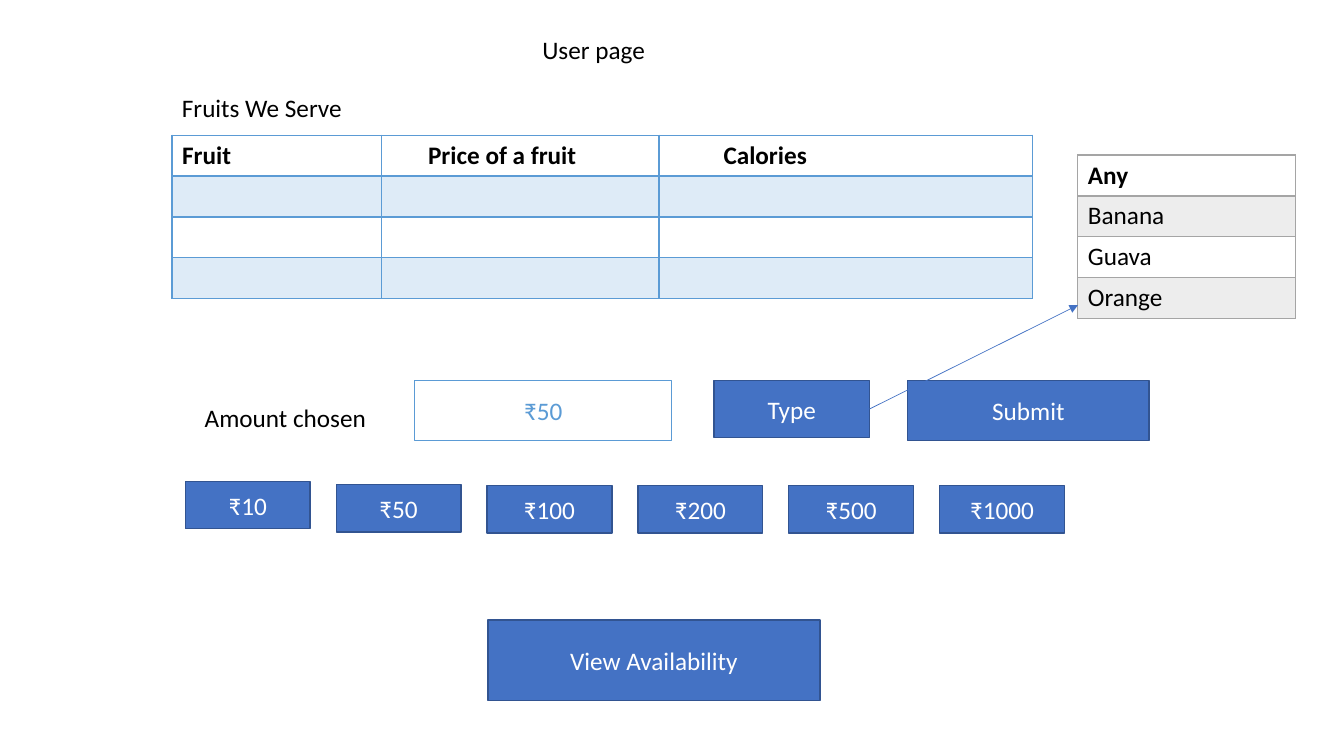
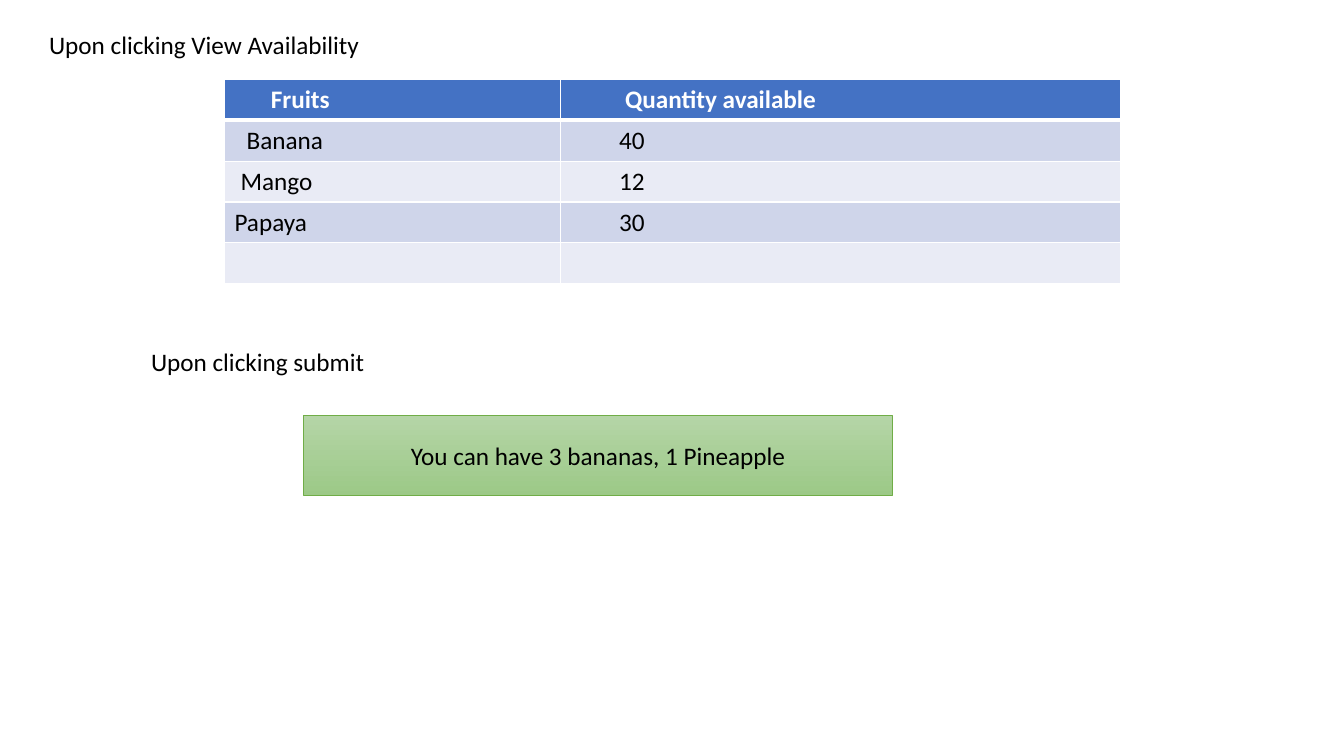
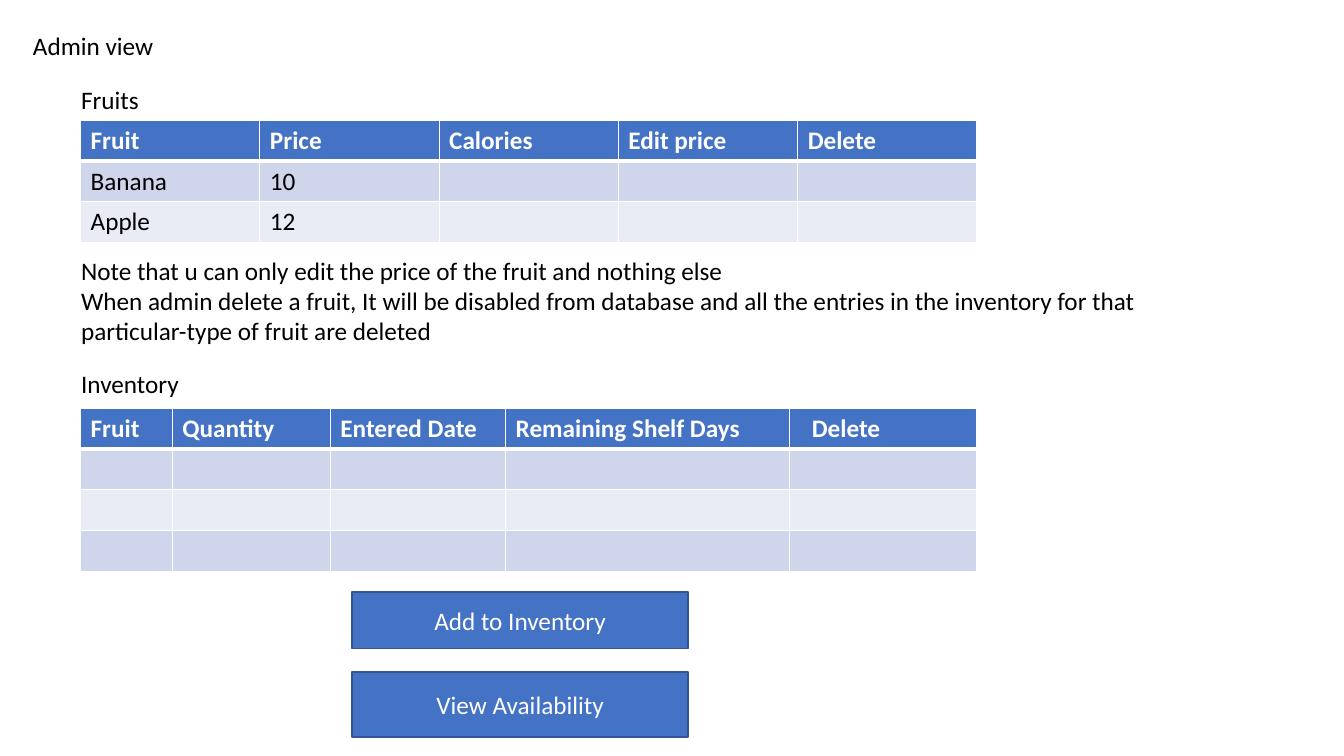
from lxml import etree
from pptx import Presentation
from pptx.dml.color import RGBColor
from pptx.enum.shapes import MSO_CONNECTOR, MSO_SHAPE
from pptx.enum.text import MSO_ANCHOR, MSO_AUTO_SIZE, PP_ALIGN
from pptx.oxml.ns import qn
from pptx.util import Inches, Pt

LEFT, CENTER = PP_ALIGN.LEFT, PP_ALIGN.CENTER
TOP, MIDDLE = MSO_ANCHOR.TOP, MSO_ANCHOR.MIDDLE
NO_FIT = MSO_AUTO_SIZE.NONE
RECT, STRAIGHT = MSO_SHAPE.RECTANGLE, MSO_CONNECTOR.STRAIGHT

FONT, SIZE = "Calibri", 18
BLACK, WHITE = "000000", "FFFFFF"
BLUE, NAVY, SKY = "4472C4", "325491", "5B9BD5"
GREEN = "70AD47"
GREEN_FADE = ("B5D5A7", "9CC987")
PAGE = (0, 0, 13.33, 7.5)
CELL_MARGIN, SPACE = 0.1, 0.06

FILLED = dict(head=BLUE, head_text=WHITE, bands=("CFD5EA", "E9EBF5"), border=WHITE, rule=3)
BLUE_GRID = dict(head=None, head_text=BLACK, bands=("DEEBF7", None), border=SKY, rule=2)
GRAY_GRID = dict(head=None, head_text=BLACK, bands=("EDEDED", None), border="A5A5A5", rule=2)


def color(value):
    return RGBColor.from_string(value)


def part(box, x, y, w, h):
    left, top, width, height = box
    return left + x * width, top + y * height, w * width, h * height


def emu(box):
    return [Inches(v) for v in box]


def paint(fill, value):
    if value is None:
        fill.background()
    else:
        fill.solid()
        fill.fore_color.rgb = color(value)


def write(tf, text, ink=BLACK, align=LEFT, bold=False):
    tf.text = text
    for p in tf.paragraphs:
        p.alignment = align
        for r in p.runs:
            r.font.name, r.font.size, r.font.bold = FONT, Pt(SIZE), bold
            r.font.color.rgb = color(ink)


def add_page(prs, title, box):
    s = prs.slides.add_slide(prs.slide_layouts[5])
    sp = s.shapes.title
    sp.left, sp.top, sp.width, sp.height = emu(box)
    tf = sp.text_frame
    write(tf, title)
    tf.auto_size, tf.vertical_anchor, tf.word_wrap = NO_FIT, TOP, True
    return s


def add_label(s, box, text):
    tf = s.shapes.add_textbox(*emu(box)).text_frame
    tf.word_wrap = True
    write(tf, text)


def add_button(s, box, text, fill=BLUE, line=NAVY, ink=WHITE, width=1):
    sp = s.shapes.add_shape(RECT, *emu(box))
    sp.shadow.inherit = False
    paint(sp.fill, fill)
    sp.line.color.rgb = color(line)
    sp.line.width = Pt(width)
    sp.text_frame.vertical_anchor = MIDDLE
    write(sp.text_frame, text, ink, CENTER)
    return sp


def add_border(cell, side, value, width):
    ln = etree.SubElement(cell._tc.get_or_add_tcPr(), qn("a:ln" + side), w=str(Pt(width)))
    fill = etree.SubElement(ln, qn("a:solidFill"))
    etree.SubElement(fill, qn("a:srgbClr"), val=value)


def add_grid(s, box, columns, rows, count, look, indents=None):
    indents = indents or {}
    table = s.shapes.add_table(count, len(columns), *emu(box)).table
    table.horz_banding = False
    for column, share in zip(table.columns, columns):
        column.width = Inches(box[2] * share / sum(columns))
    for i, row in enumerate(table.rows):
        row.height = Inches(box[3] / count)
        texts = rows[i] if i < len(rows) else ()
        for j, cell in enumerate(row.cells):
            widths = dict(L=1, R=1, T=look["rule"] if i == 1 else 1,
                          B=look["rule"] if i == 0 else 1)
            for side, width in widths.items():
                add_border(cell, side, look["border"], width)
            paint(cell.fill, look["bands"][(i - 1) % 2] if i else look["head"])
            cell.margin_left = Inches(CELL_MARGIN + SPACE * indents.get((i, j), 0))
            if j < len(texts):
                write(cell.text_frame, texts[j], BLACK if i else look["head_text"], bold=i == 0)


def add_arrow(s, start, end):
    line = s.shapes.add_connector(STRAIGHT, *emu(start + end))
    line.line.color.rgb = color(BLUE)
    line.line.width = Pt(0.5)
    etree.SubElement(line.line._get_or_add_ln(), qn("a:tailEnd"), type="triangle")
    etree.SubElement(line._element.spPr, qn("a:effectLst"))


def amount_form(s, box):
    add_label(s, part(box, 0, 0.28, 0.3, 0.67), "Amount chosen")
    add_button(s, part(box, 0.23, 0, 0.27, 1), "₹50", None, SKY, SKY, 0.75)
    type_box = part(box, 0.544, 0, 0.163, 0.95)
    add_button(s, type_box, "Type")
    add_button(s, part(box, 0.747, 0, 0.253, 1), "Submit")
    return type_box


def amount_buttons(s, box):
    drops = (0, 0.06, 0.08, 0.08, 0.08, 0.08)
    width = 0.142
    pitch = (1 - width) / (len(drops) - 1)
    for i, (amount, drop) in enumerate(zip((10, 50, 100, 200, 500, 1000), drops)):
        add_button(s, part(box, i * pitch, drop, width, 0.92), f"₹{amount}")


def user_page(prs, box):
    s = add_page(prs, "User page", part(box, 0.396, 0.039, 0.175, 0.053))
    add_label(s, part(box, 0.128, 0.115, 0.156, 0.053), "Fruits We Serve")
    add_grid(s, part(box, 0.128, 0.179, 0.64, 0.216), (2.08, 2.75, 3.7),
             [("Fruit", "Price of a fruit", "Calories")], 4, BLUE_GRID,
             {(0, 1): 6, (0, 2): 9})
    type_box = amount_form(s, part(box, 0.145, 0.503, 0.71, 0.08))
    amount_buttons(s, part(box, 0.138, 0.637, 0.654, 0.068))
    choices = part(box, 0.802, 0.205, 0.162, 0.216)
    add_grid(s, choices, (1,), [("Any",), ("Banana",), ("Guava",), ("Orange",)], 4, GRAY_GRID)
    add_arrow(s, part(type_box, 1, 0.5, 0, 0)[:2], part(choices, 0, 0.92, 0, 0)[:2])
    add_button(s, part(box, 0.363, 0.82, 0.247, 0.107), "View Availability")


def results_page(prs, box):
    s = add_page(prs, "Upon clicking View Availability", part(box, 0.029, 0.032, 0.451, 0.053))
    stock = [("Fruits", "Quantity available"), ("Banana", "40"), ("Mango", "12"), ("Papaya", "30")]
    indents = {(0, 0): 6, (0, 1): 9, (1, 0): 2, (2, 0): 1}
    indents.update({(i, 1): 8 for i in range(1, len(stock))})
    add_grid(s, part(box, 0.167, 0.105, 0.667, 0.27), (3, 5), stock, 5, FILLED, indents)
    add_label(s, part(box, 0.105, 0.451, 0.34, 0.053), "Upon clicking submit")
    sp = add_button(s, part(box, 0.226, 0.549, 0.438, 0.107),
                    "You can have 3 bananas, 1 Pineapple", None, GREEN, BLACK, 0.5)
    sp.fill.gradient()
    sp.fill.gradient_angle = 270
    for stop, value in zip(sp.fill.gradient_stops, GREEN_FADE):
        stop.color.rgb = color(value)


def admin_page(prs, box):
    s = add_page(prs, "Admin view", part(box, 0.017, 0.033, 0.509, 0.053))
    add_label(s, part(box, 0.053, 0.105, 0.212, 0.053), "Fruits")
    add_grid(s, part(box, 0.06, 0.159, 0.667, 0.162), (1,) * 5,
             [("Fruit", "Price", "Calories", "Edit price", "Delete"),
              ("Banana", "10"), ("Apple", "12")], 3, FILLED)
    add_label(s, part(box, 0.053, 0.331, 0.846, 0.135),
              "Note that u can only edit the price of the fruit and nothing else\n"
              "When admin delete a fruit, It will be disabled from database and all the "
              "entries in the inventory for that particular-type of fruit are deleted")
    add_label(s, part(box, 0.053, 0.48, 0.31, 0.053), "Inventory")
    add_grid(s, part(box, 0.06, 0.54, 0.667, 0.216), (0.91, 1.57, 1.74, 2.82, 1.86),
             [("Fruit", "Quantity", "Entered Date", "Remaining Shelf Days", "Delete")],
             4, FILLED, {(0, 4): 2})
    add_button(s, part(box, 0.262, 0.783, 0.25, 0.075), "Add to Inventory")
    add_button(s, part(box, 0.262, 0.889, 0.25, 0.086), "View Availability")


prs = Presentation()
prs.slide_width, prs.slide_height = emu(PAGE[2:])
for build in (user_page, results_page, admin_page):
    build(prs, PAGE)
prs.save("out.pptx")
